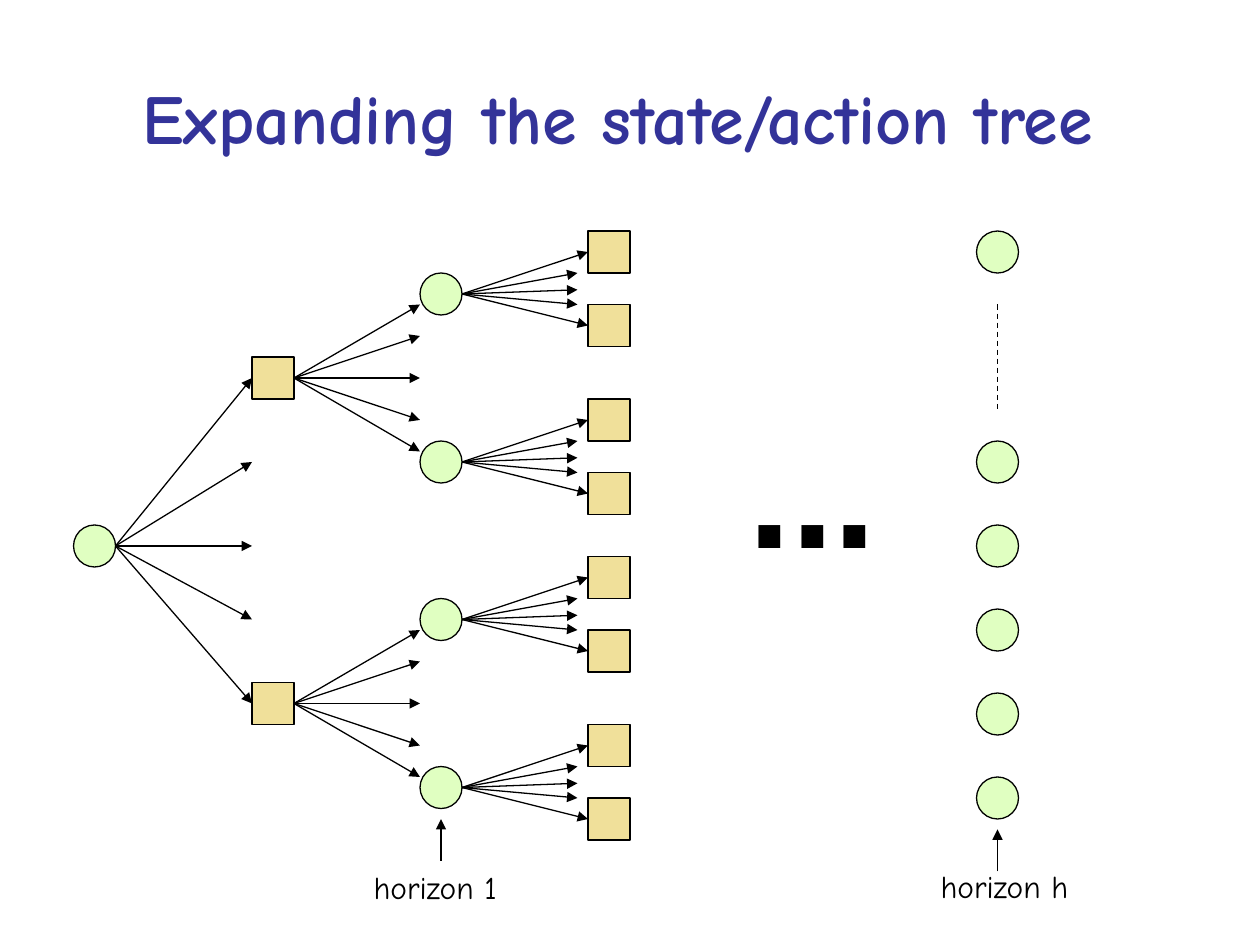
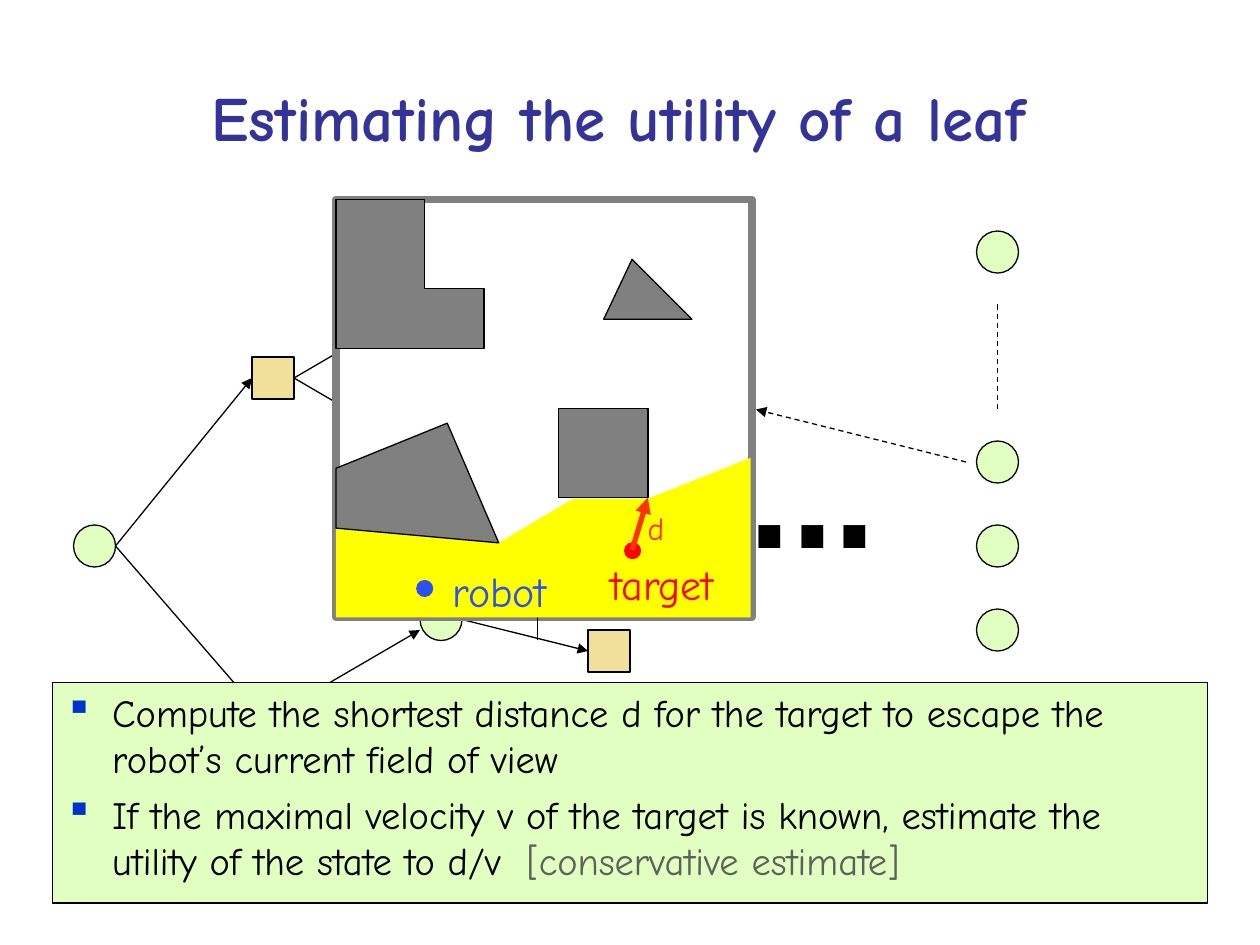
"""Builds two slides on searching a state/action tree and scoring its leaves."""
from lxml import etree
from pptx import Presentation
from pptx.dml.color import RGBColor
from pptx.enum.dml import MSO_LINE
from pptx.enum.shapes import MSO_CONNECTOR, MSO_SHAPE
from pptx.enum.text import MSO_ANCHOR, PP_ALIGN
from pptx.oxml.ns import qn
from pptx.util import Pt

PX = 7620
NODE = 40
FONT = "Comic Neue"
OVAL, RECT = MSO_SHAPE.OVAL, MSO_SHAPE.RECTANGLE
STRAIGHT, DASH = MSO_CONNECTOR.STRAIGHT, MSO_LINE.DASH
TOP, MIDDLE = MSO_ANCHOR.TOP, MSO_ANCHOR.MIDDLE
LEFT, CENTER = PP_ALIGN.LEFT, PP_ALIGN.CENTER

BLACK = RGBColor(0x00, 0x00, 0x00)
WHITE = RGBColor(0xFF, 0xFF, 0xFF)
NAVY = RGBColor(0x33, 0x33, 0x99)
GREEN = RGBColor(0xE0, 0xFF, 0xC1)
SAND = RGBColor(0xF0, 0xE0, 0x9A)
GRAY = RGBColor(0x80, 0x80, 0x80)
DIM = RGBColor(0x5F, 0x5F, 0x5F)
YELLOW = RGBColor(0xFF, 0xFF, 0x00)
RED = RGBColor(0xFF, 0x00, 0x00)
ORANGE = RGBColor(0xFF, 0x33, 0x00)
BLUE = RGBColor(0x2B, 0x51, 0xF3)


def write(box, *paras, size=18, color=BLACK, font=FONT, bold=False, align=LEFT,
          anchor=TOP, wrap=False, bullet=None, gap=0):
    frame = box.text_frame
    frame.word_wrap = wrap
    frame.vertical_anchor = anchor
    for i, runs in enumerate(paras):
        para = frame.add_paragraph() if i else frame.paragraphs[0]
        para.alignment = align
        if i and gap:
            para.space_before = Pt(gap)
        if bullet:
            props = para._p.get_or_add_pPr()
            props.set("marL", "342900")
            props.set("indent", "-342900")
            tint = etree.SubElement(props, qn("a:buClr"))
            etree.SubElement(tint, qn("a:srgbClr"), val="0033CC")
            etree.SubElement(props, qn("a:buChar"), char=bullet)
        for words, shade in [(runs, color)] if isinstance(runs, str) else runs:
            run = para.add_run()
            run.text = words
            run.font.name, run.font.size, run.font.bold = font, Pt(size), bold
            run.font.color.rgb = shade


def link(page, start, end, color=BLACK, width=0.75, dash=None, head=True):
    wire = page.shapes.add_connector(STRAIGHT, *[v * PX for v in start + end])
    if start in joins:
        wire.begin_connect(*joins[start])
    if end in joins:
        wire.end_connect(*joins[end])
    wire.line.color.rgb = color
    wire.line.width = Pt(width)
    if dash:
        wire.line.dash_style = dash
    props = wire._element.spPr
    if head:
        etree.SubElement(props.find(qn("a:ln")), qn("a:tailEnd"), type="triangle")
    etree.SubElement(props, qn("a:effectLst"))


deck = Presentation()
deck.slide_width, deck.slide_height = 1200 * PX, 900 * PX

ROOT = (110, 520)
acts = [360, 670]
states = [y + step for y in acts for step in (-80, 80)]
ends = [220, 420, 500, 580, 660, 740]

full = [(ROOT, (240, y)) for y in (360, 440, 520, 590, 670)]
full += [((280, y), (400, y + step)) for y in acts for step in (-70, -40, 0, 40, 70)]
full += [((440, y), (x, y + step)) for y in states
         for x, step in ((560, -40), (550, -20), (550, -4), (550, 10), (560, 30))]
part = [(ROOT, (240, 360)), (ROOT, (240, 670)), ((280, 360), (400, 290)),
        ((280, 360), (400, 430)), ((280, 670), (400, 600)), ((440, 590), (560, 620))]

plans = [
    ("Expanding the state/action tree ", 40, states, ends,
     [(240, y) for y in acts] + [(560, y + step) for y in states for step in (-40, 30)],
     full),
    ("Estimating the utility of a leaf ", 36, [590], ends[:4],
     [(240, 360), (560, 620)], part),
]

looks = []
pages = []
for title, size, balls, leaves, boxes, links in plans:
    page = deck.slides.add_slide(deck.slide_layouts[6])
    pages.append(page)
    joins = {}
    head = page.shapes.add_textbox(60 * PX, 36 * PX, 1080 * PX, 150 * PX)
    write(head, title, size=size, color=NAVY, bold=True, align=CENTER,
          anchor=MIDDLE, wrap=True)
    rounds = [(70, 520)] + [(400, y) for y in balls] + [(930, y + 20) for y in leaves]
    for kind, fill, spots in ((OVAL, GREEN, rounds), (RECT, SAND, boxes)):
        for x, y in spots:
            node = page.shapes.add_shape(kind, x * PX, (y - 20) * PX, NODE * PX, NODE * PX)
            looks.append((node, fill, BLACK, 0.75))
            if kind == RECT:
                joins[x, y] = (node, 1)
                joins[x + NODE, y] = (node, 3)
    for start, end in links:
        link(page, start, end)
    link(page, (950, 290), (950, 390), dash=DASH, head=False)
    dots = page.shapes.add_textbox(701 * PX, 370 * PX, 146 * PX, 188 * PX)
    write(dots, "...", size=88, font="Arial", bold=True)

tree, leaf = pages
for words, x, y, wide in (("horizon 1", 344, 821, 142), ("horizon h", 884, 820, 146)):
    write(tree.shapes.add_textbox(x * PX, y * PX, wide * PX, 48 * PX), words)
link(tree, (420, 820), (420, 780))
link(tree, (950, 830), (950, 790))

panel = leaf.shapes.add_shape(RECT, 50 * PX, 650 * PX, 1100 * PX, 210 * PX)
looks.append((panel, GREEN, BLACK, 0.75))
write(panel,
      "Compute the shortest distance d for the target to escape the "
      "robot’s current field of view",
      [("If the maximal velocity v of the target is known, estimate the "
        "utility of the state to d/v ", BLACK), (" [conservative estimate]", DIM)],
      size=22, wrap=True, bullet="▪", gap=5.5)

room = leaf.shapes.add_shape(RECT, 320 * PX, 190 * PX, 396 * PX, 398 * PX)
looks.append((room, WHITE, GRAY, 4.5))
link(leaf, (512, 610), (512, 566))

view = [(475, 517), (546, 475), (617, 475), (715, 436), (715, 588), (320, 588), (320, 503)]
block = [(532, 389), (617, 389), (617, 474), (532, 474)]
wedge = [(320, 503), (475, 517), (426, 403), (320, 446)]
bend = [(320, 332), (461, 332), (461, 275), (404, 275), (404, 190), (320, 190)]
spike = [(602, 247), (575, 304), (659, 304)]
for points, fill, edge in ((view, YELLOW, None), (block, GRAY, BLACK), (wedge, GRAY, BLACK),
                           (bend, GRAY, BLACK), (spike, GRAY, BLACK)):
    pen = leaf.shapes.build_freeform(*points[0], scale=PX)
    pen.add_line_segments(points[1:], close=True)
    looks.append((pen.convert_to_shape(), fill, edge, 0.75))

for x, y, color in ((397, 553, BLUE), (595, 517, RED)):
    spot = leaf.shapes.add_shape(OVAL, x * PX, y * PX, 15 * PX, 15 * PX)
    looks.append((spot, color, color, 0.75))
link(leaf, (602, 524), (617, 474), color=ORANGE, width=3)
for words, x, y, wide, high, size, color in (
        ("target", 570, 526, 125, 60, 24, RED),
        ("robot", 419, 533, 115, 60, 24, BLUE),
        ("d", 605, 479, 40, 48, 18, ORANGE)):
    tag = leaf.shapes.add_textbox(x * PX, y * PX, wide * PX, high * PX)
    write(tag, words, size=size, color=color)
link(leaf, (920, 440), (720, 390), dash=DASH)

for shape, fill, edge, width in looks:
    shape.shadow.inherit = False
    shape.fill.solid()
    shape.fill.fore_color.rgb = fill
    if edge is None:
        shape.line.fill.background()
    else:
        shape.line.color.rgb = edge
        shape.line.width = Pt(width)

deck.save("out.pptx")
